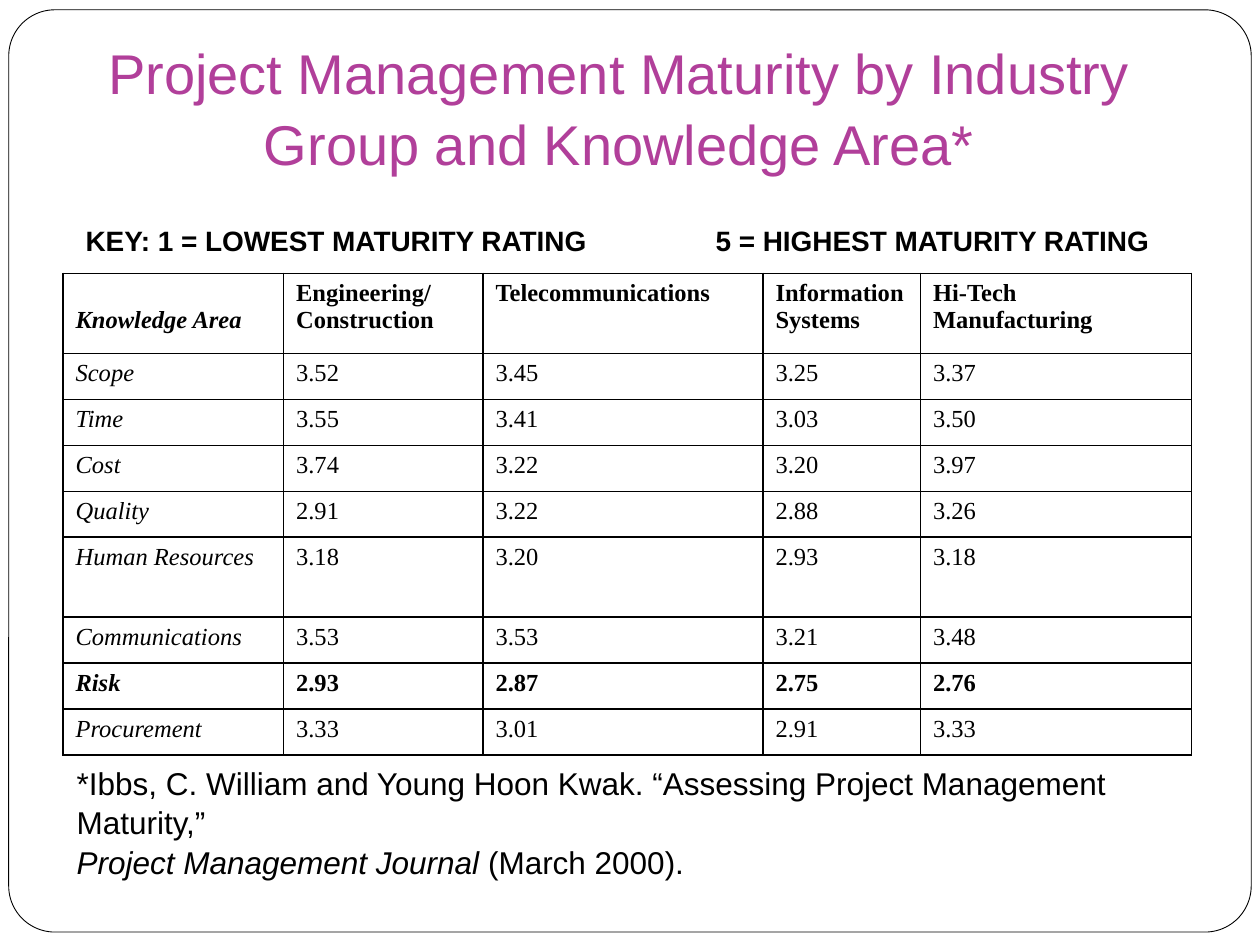
from lxml.etree import SubElement
from pptx import Presentation
from pptx.dml.color import RGBColor
from pptx.enum.shapes import MSO_SHAPE
from pptx.enum.text import MSO_ANCHOR, PP_ALIGN
from pptx.oxml.ns import qn
from pptx.util import Pt

BLACK = RGBColor(0x00, 0x00, 0x00)
WHITE = RGBColor(0xFF, 0xFF, 0xFF)
MAGENTA = RGBColor(0xB1, 0x3F, 0x9A)

HEADERS = ["Knowledge Area", "Engineering/ Construction", "Telecommunications",
           "Information Systems", "Hi-Tech Manufacturing"]
RATINGS = [
    ["Scope", "3.52", "3.45", "3.25", "3.37"],
    ["Time", "3.55", "3.41", "3.03", "3.50"],
    ["Cost", "3.74", "3.22", "3.20", "3.97"],
    ["Quality", "2.91", "3.22", "2.88", "3.26"],
    ["Human Resources", "3.18", "3.20", "2.93", "3.18"],
    ["Communications", "3.53", "3.53", "3.21", "3.48"],
    ["Risk", "2.93", "2.87", "2.75", "2.76"],
    ["Procurement", "3.33", "3.01", "2.91", "3.33"],
]
COLUMN_WIDTHS = [126, 114, 160, 90, 155]
ROW_HEIGHT, TALL_ROW_HEIGHT = 26.3, 45.7
TALL_ROWS = {"Knowledge Area", "Human Resources"}
BOLD_ROWS = {"Knowledge Area", "Risk"}


class MaturitySlide:
    """Draws the elements of the maturity slide in one shared style."""

    text_font = "Arial"
    table_font = "Times New Roman"
    table_size = 14

    def __init__(self, prs):
        self.s = prs.slides.add_slide(prs.slide_layouts[6])

    def frame(self, x, y, w, h):
        sp = self.s.shapes.add_shape(MSO_SHAPE.ROUNDED_RECTANGLE, Pt(x), Pt(y), Pt(w), Pt(h))
        sp.adjustments[0] = 0.05
        sp.shadow.inherit = False
        sp.fill.solid()
        sp.fill.fore_color.rgb = WHITE
        sp.line.color.rgb = BLACK
        sp.line.width = Pt(0.5)

    def run(self, p, text, font, size, color=BLACK, bold=False, italic=False):
        r = p.add_run()
        r.text = text
        r.font.name, r.font.size = font, Pt(size)
        r.font.bold, r.font.italic = bold, italic
        r.font.color.rgb = color

    def text(self, x, y, w, h, paragraphs, size, color=BLACK, bold=False,
             anchor=MSO_ANCHOR.MIDDLE, align=PP_ALIGN.LEFT, bottom=3.6, tab=None):
        tf = self.s.shapes.add_textbox(Pt(x), Pt(y), Pt(w), Pt(h)).text_frame
        tf.word_wrap = True
        tf.vertical_anchor = anchor
        tf.margin_bottom = Pt(bottom)
        for i, runs in enumerate(paragraphs):
            p = tf.add_paragraph() if i else tf.paragraphs[0]
            p.alignment = align
            p.line_spacing = 1.05
            if tab:
                tabs = SubElement(p._p.get_or_add_pPr(), qn("a:tabLst"))
                SubElement(tabs, qn("a:tab"), pos=str(Pt(tab)), algn="l")
            for text, italic in runs:
                self.run(p, text, self.text_font, size, color, bold, italic)

    def borders(self, cell):
        tc_pr = cell._tc.get_or_add_tcPr()
        for side in ("lnL", "lnR", "lnT", "lnB"):
            line = SubElement(tc_pr, qn(f"a:{side}"), w=str(Pt(1)))
            fill = SubElement(line, qn("a:solidFill"))
            SubElement(fill, qn("a:srgbClr"), val=str(BLACK))

    def table(self, x, y, rows, widths):
        heights = [TALL_ROW_HEIGHT if row[0] in TALL_ROWS else ROW_HEIGHT for row in rows]
        table = self.s.shapes.add_table(len(rows), len(widths), Pt(x), Pt(y),
                                        Pt(sum(widths)), Pt(sum(heights))).table
        table.first_row = table.horz_banding = False
        for column, width in zip(table.columns, widths):
            column.width = Pt(width)
        for i, row in enumerate(rows):
            table.rows[i].height = Pt(heights[i])
            for j, text in enumerate(row):
                cell = table.cell(i, j)
                self.borders(cell)
                cell.fill.background()
                self.run(cell.text_frame.paragraphs[0], text, self.table_font, self.table_size,
                         bold=row[0] in BOLD_ROWS, italic=j == 0)
        table.cell(0, 0).margin_top = Pt(19.2)


def main():
    prs = Presentation()
    prs.slide_width, prs.slide_height = Pt(720), Pt(540)
    s = MaturitySlide(prs)
    s.frame(5, 5.6, 710, 527)
    s.text(23.8, 18, 660, 90,
           [[("Project Management Maturity by Industry Group and Knowledge Area*", False)]],
           32, MAGENTA, anchor=MSO_ANCHOR.BOTTOM, align=PP_ALIGN.CENTER, bottom=7.2)
    s.text(41.8, 123.8, 634, 26.6,
           [[("KEY: 1 = LOWEST MATURITY RATING\t5 = HIGHEST MATURITY RATING", False)]],
           16, bold=True, tab=360)
    s.table(36, 156.2, [HEADERS] + RATINGS, COLUMN_WIDTHS)
    s.text(36.7, 444.2, 647, 50.4,
           [[("*Ibbs, C. William and Young Hoon Kwak. “Assessing Project Management Maturity,”", False)],
            [("Project Management Journal", True), (" (March 2000).", False)]], 18)
    prs.save("out.pptx")


if __name__ == "__main__":
    main()
